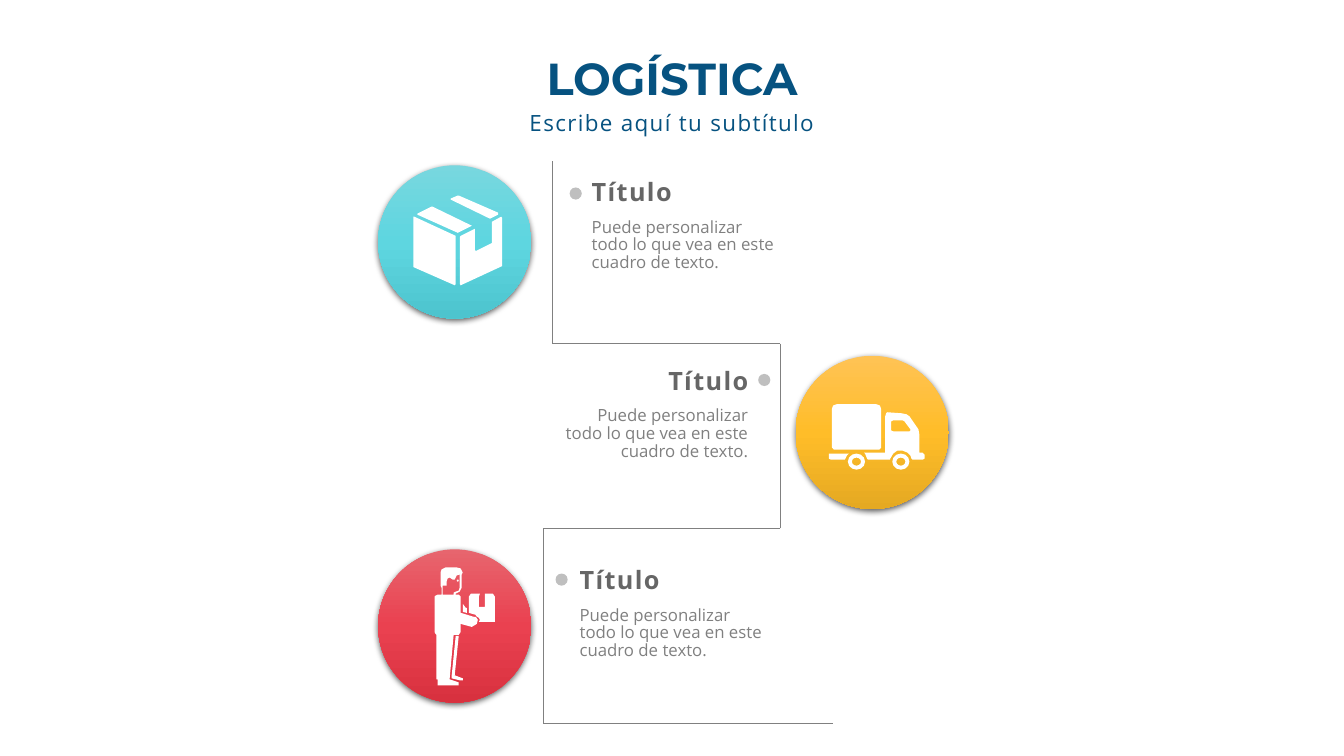
import itertools

import lxml.etree
import pptx
import pptx.dml.color
import pptx.enum.shapes
import pptx.enum.text
import pptx.oxml.ns
import pptx.util

Inches = pptx.util.Inches
qn = pptx.oxml.ns.qn
MSO_SHAPE = pptx.enum.shapes.MSO_SHAPE
ALIGN = pptx.enum.text.PP_ALIGN
ANCHOR = pptx.enum.text.MSO_ANCHOR

NAVY, WHITE, DOT_GRAY, TEXT_GRAY = "065280", "FFFFFF", "BFBFBF", "808080"
HEADING = {"name": "Open Sans", "size": pptx.util.Pt(18), "bold": True}
BODY = {"name": "Open Sans", "size": pptx.util.Pt(12), "bold": False}
BODY_TEXT = "Puede personalizar todo lo que vea en este cuadro de texto."
DISC_SIZE = 1.52

# Icon outlines in hundredths of an inch from the disc corner;
# each outline is a list of contours, later contours being holes
BOX_ICON = {"outlines": [
    [[(119, 49), (111, 53), (72, 34), (72, 33), (79, 30), (80, 30), (119, 47)]],
    [[(81, 71), (82, 70), (96, 63), (96, 84), (97, 85), (113, 77), (113, 56),
      (122, 51), (123, 52), (123, 100), (82, 119), (81, 118)]],
    [[(35, 51), (36, 51), (77, 70), (77, 118), (76, 119), (35, 101)]],
    [[(39, 48), (53, 41), (54, 41), (93, 60), (79, 67), (39, 49)]],
], "rounds": []}
TRUCK_ICON = {"outlines": [
    [[(33, 97), (53, 97), (51, 99), (49, 103), (35, 103), (33, 102)]],
    [[(36, 91), (36, 53), (37, 50), (38, 49), (41, 48), (80, 48), (83, 49),
      (84, 50), (85, 53), (85, 91), (83, 93), (38, 93)]],
    [[(126, 96), (128, 98), (128, 102), (126, 103), (116, 103), (115, 102),
      (114, 99), (111, 96), (106, 94), (101, 94), (97, 97), (94, 102),
      (94, 103), (72, 103), (71, 102), (69, 97), (68, 96), (89, 96), (89, 60),
      (90, 57), (91, 56), (105, 57), (110, 58), (113, 60), (122, 73),
      (123, 79), (123, 96)],
     [(97, 75), (113, 75), (114, 74), (114, 73), (108, 65), (106, 64),
      (97, 64), (95, 65), (95, 74)]],
], "rounds": [(MSO_SHAPE.DONUT, 52, 97, 17, 16), (MSO_SHAPE.DONUT, 96, 97, 17, 16)]}
COURIER_ICON = {"outlines": [
    [[(73, 125), (77, 86), (80, 86), (76, 125), (84, 128), (84, 130), (81, 130),
      (73, 128)]],
    [[(84, 54), (87, 58), (88, 58), (88, 63), (84, 62)]],
    [[(56, 47), (56, 82), (57, 84), (58, 85), (58, 129), (59, 129), (59, 135),
      (80, 135), (80, 132), (71, 129), (75, 85), (80, 85), (82, 82), (82, 74),
      (93, 77), (98, 74), (99, 70), (97, 67), (95, 67), (82, 63), (82, 47),
      (80, 45), (77, 45), (77, 44), (81, 42), (83, 38), (83, 25), (84, 23),
      (82, 19), (78, 18), (67, 18), (63, 20), (62, 23), (62, 36), (63, 38),
      (63, 45), (59, 45), (57, 46)],
     [(75, 43), (75, 45), (64, 45), (64, 36), (68, 36), (68, 32), (69, 29),
      (71, 28), (74, 30), (76, 30), (77, 28), (78, 26), (81, 25), (81, 38),
      (80, 41), (77, 42)]],
    [[(100, 68), (97, 66), (97, 65), (90, 63), (90, 47), (92, 44), (101, 44),
      (100, 47), (100, 57), (106, 57), (106, 44), (114, 44), (116, 47),
      (116, 72), (100, 72), (101, 70)]],
], "rounds": [(MSO_SHAPE.OVAL, 78, 30, 2, 2)]}

# Each step: disc corner, gradient, icon, text corner, alignment, dot corner
STEPS = [
    {"disc": (3.75, 1.64), "gradient": ("78D7DF", "5ED6E0", "4DC4CE"),
     "icon": BOX_ICON, "text": (5.77, 1.7), "align": ALIGN.LEFT, "dot": (5.65, 1.86)},
    {"disc": (7.89, 3.53), "gradient": ("FFC355", "FFBD29", "E5A922"),
     "icon": TRUCK_ICON, "text": (5.43, 3.57), "align": ALIGN.RIGHT, "dot": (7.52, 3.71)},
    {"disc": (3.75, 5.45), "gradient": ("E7656E", "EA4150", "D8313F"),
     "icon": COURIER_ICON, "text": (5.65, 5.55), "align": ALIGN.LEFT, "dot": (5.51, 5.69)},
]
PATH_CORNERS = [(5.48, 1.6), (5.48, 3.41), (7.74, 3.41), (7.74, 5.24),
                (5.39, 5.24), (5.39, 7.18), (8.26, 7.18)]


def rgb(color):
    return pptx.dml.color.RGBColor.from_string(color)


def paint(shape, color):
    shape.shadow.inherit = False
    shape.fill.solid()
    shape.fill.fore_color.rgb = rgb(color)
    shape.line.fill.background()


def write(holder, text, font_format, color, align, anchor=ANCHOR.MIDDLE,
          spacing=0, line_spacing=1.0, margin=None):
    frame = holder.text_frame
    frame.text = text
    frame_format = {"word_wrap": True, "vertical_anchor": anchor,
                    "auto_size": pptx.enum.text.MSO_AUTO_SIZE.NONE}
    if margin is not None:
        for side in ("left", "top", "right", "bottom"):
            frame_format[f"margin_{side}"] = margin
    for name, value in frame_format.items():
        setattr(frame, name, value)
    paragraph = frame.paragraphs[0]
    for name, value in {"alignment": align, "line_spacing": line_spacing,
                        "space_before": pptx.util.Pt(0)}.items():
        setattr(paragraph, name, value)
    run = paragraph.runs[0]
    for name, value in font_format.items():
        setattr(run.font, name, value)
    run.font.color.rgb = rgb(color)
    if spacing:
        run.font._element.set("spc", str(spacing * 100))


def place(holder, left, top, width, height):
    for name, value in {"left": left, "top": top, "width": width, "height": height}.items():
        setattr(holder, name, Inches(value))


def add_header(slide, left, top, width):
    title = slide.shapes.title
    place(title, left, top, width, 0.72)
    write(title, "LOGÍSTICA", {"name": "Montserrat", "size": pptx.util.Pt(32), "bold": True},
          NAVY, ALIGN.CENTER, ANCHOR.TOP, margin=0)
    subtitle = slide.placeholders[1]
    place(subtitle, left + 1.07, top + 0.53, width - 2.14, 0.37)
    write(subtitle, "Escribe aquí tu subtítulo", {"name": "Open Sans", "size": pptx.util.Pt(16)},
          NAVY, ALIGN.CENTER, spacing=1)


def add_path(slide, corners):
    for start, end in itertools.pairwise(corners):
        segment = slide.shapes.add_connector(
            pptx.enum.shapes.MSO_CONNECTOR.STRAIGHT, *map(Inches, start + end))
        segment.line.color.rgb = rgb(TEXT_GRAY)
        segment.line.width = pptx.util.Pt(0.75)
        lxml.etree.SubElement(segment._element.spPr, qn("a:effectLst"))


def add_disc(slide, left, top, colors):
    disc = slide.shapes.add_shape(MSO_SHAPE.OVAL, *map(Inches, (left, top, DISC_SIZE, DISC_SIZE)))
    paint(disc, WHITE)
    # Three-stop vertical gradient
    disc.fill.gradient()
    disc.fill.gradient_angle = 270
    stops = disc._element.spPr.find(".//" + qn("a:gsLst"))
    stops.clear()
    for position, color in zip((0, 50000, 100000), colors):
        stop = lxml.etree.SubElement(stops, qn("a:gs"), pos=str(position))
        lxml.etree.SubElement(stop, qn("a:srgbClr"), val=color)
    # Soft shadow below the disc
    effects = disc._element.spPr.find(qn("a:effectLst"))
    shadow = lxml.etree.SubElement(
        effects, qn("a:outerShdw"), blurRad=str(pptx.util.Pt(4.5)),
        dist=str(pptx.util.Pt(1.5)), dir="5400000", algn="t", rotWithShape="0")
    black = lxml.etree.SubElement(shadow, qn("a:srgbClr"), val="000000")
    lxml.etree.SubElement(black, qn("a:alpha"), val="63000")


def add_icon(slide, left, top, icon):
    parts = slide.shapes.add_group_shape().shapes
    for contours in icon["outlines"]:
        builder = parts.build_freeform(*contours[0][0], scale=Inches(0.01))
        builder.add_line_segments(contours[0][1:], close=True)
        for hole in contours[1:]:
            builder.move_to(*hole[0])
            builder.add_line_segments(hole[1:], close=True)
        paint(builder.convert_to_shape(Inches(left), Inches(top)), WHITE)
    for kind, x, y, width, height in icon["rounds"]:
        box = (left + x / 100, top + y / 100, width / 100, height / 100)
        paint(parts.add_shape(kind, *map(Inches, box)), WHITE)


def add_step(slide, step):
    # Heading, with the body flush to the same edge
    left, top = step["text"]
    body_left = left + (0.08 if step["align"] == ALIGN.RIGHT else 0)
    heading = slide.shapes.add_textbox(*map(Inches, (left, top, 2.09, 0.4)))
    write(heading, "Título", HEADING, "666666", step["align"], spacing=1)
    body = slide.shapes.add_textbox(*map(Inches, (body_left, top + 0.38, 2.01, 0.71)))
    write(body, BODY_TEXT, BODY, TEXT_GRAY, step["align"], line_spacing=0.88)
    # Marker, disc and icon
    dot = slide.shapes.add_shape(MSO_SHAPE.OVAL, *map(Inches, step["dot"] + (0.12, 0.12)))
    paint(dot, DOT_GRAY)
    add_disc(slide, *step["disc"], step["gradient"])
    add_icon(slide, *step["disc"], step["icon"])


def main():
    deck = pptx.Presentation()
    deck.slide_width, deck.slide_height = Inches(13.33), Inches(7.5)
    slide = deck.slides.add_slide(deck.slide_layouts[0])
    add_header(slide, 3.09, 0.5, 7.15)
    add_path(slide, PATH_CORNERS)
    for step in STEPS:
        add_step(slide, step)
    deck.save("out.pptx")


if __name__ == "__main__":
    main()
